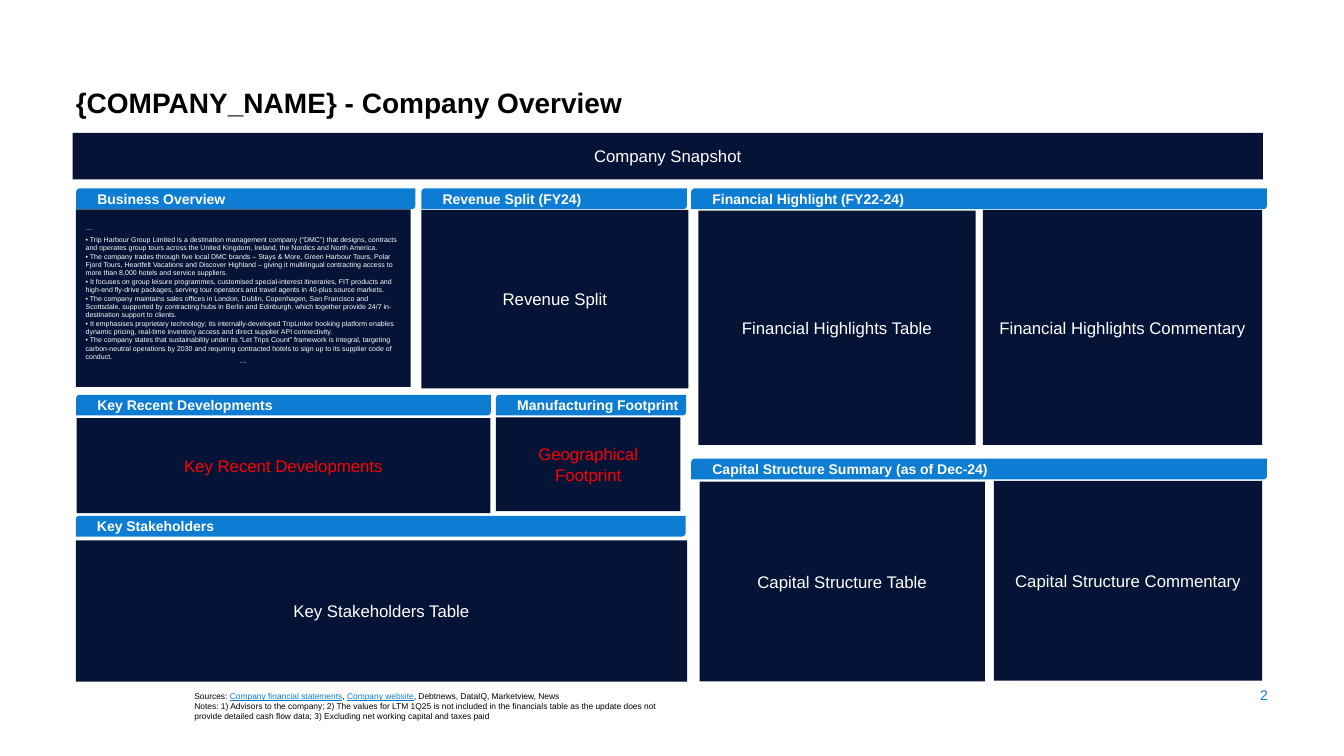
from pptx import Presentation
from pptx.dml.color import RGBColor
from pptx.enum import shapes, text
from pptx.util import Cm, Pt

COLORS = {"navy": "051336", "blue": "0D7DD3", "white": "FFFFFF", "red": "FF0000", "black": "000000"}
LEFT, CENTER, RIGHT = text.PP_ALIGN.LEFT, text.PP_ALIGN.CENTER, text.PP_ALIGN.RIGHT
TOP, MIDDLE = text.MSO_ANCHOR.TOP, text.MSO_ANCHOR.MIDDLE
HEADER_HEIGHT = 0.52

HEADERS = [
    ("Business Overview", 1.92, 4.75, 8.55),
    ("Revenue Split (FY24)", 10.62, 4.75, 6.69),
    ("Financial Highlight (FY22-24)", 17.42, 4.75, 14.51),
    ("Key Recent Developments", 1.92, 9.95, 10.45),
    ("Manufacturing Footprint", 12.5, 9.95, 4.79),
    ("Capital Structure Summary (as of Dec-24)", 17.42, 11.56, 14.51),
    ("Key Stakeholders", 1.91, 13, 15.37),
]

PANELS = [
    ("Company Snapshot", (1.83, 3.35, 30, 1.17), "white"),
    ("Revenue Split", (10.62, 5.29, 6.73, 4.5), "white"),
    ("Key Recent Developments", (1.93, 10.54, 10.43, 2.39), "red"),
    ("Geographical Footprint", (12.5, 10.52, 4.65, 2.36), "red"),
    ("Key Stakeholders Table", (1.91, 13.62, 15.41, 3.56), "white"),
    ("Financial Highlights Table", (17.6, 5.31, 6.99, 5.9), "white"),
    ("Financial Highlights Commentary", (24.77, 5.29, 7.04, 5.92), "white"),
    ("Capital Structure Table", (17.63, 12.14, 7.19, 5.03), "white"),
    ("Capital Structure Commentary", (25.05, 12.12, 6.76, 5.03), "white"),
]

BUSINESS_OVERVIEW = [
    "```",
    "• Trip Harbour Group Limited is a destination management company (“DMC”) that designs, contracts "
    "and operates group tours across the United Kingdom, Ireland, the Nordics and North America.",
    "• The company trades through five local DMC brands – Stays & More, Green Harbour Tours, Polar "
    "Fjord Tours, Heartfelt Vacations and Discover Highland – giving it multilingual contracting "
    "access to more than 8,000 hotels and service suppliers.",
    "• It focuses on group leisure programmes, customised special-interest itineraries, FIT products and "
    "high-end fly-drive packages, serving tour operators and travel agents in 40-plus source markets.",
    "• The company maintains sales offices in London, Dublin, Copenhagen, San Francisco and "
    "Scottsdale, supported by contracting hubs in Berlin and Edinburgh, which together provide 24/7 "
    "in-destination support to clients.",
    "• It emphasises proprietary technology; its internally-developed TripLinker booking platform "
    "enables dynamic pricing, real-time inventory access and direct supplier API connectivity.",
    "• The company states that sustainability under its “Let Trips Count” framework is integral, "
    "targeting carbon-neutral operations by 2030 and requiring contracted hotels to sign up to its "
    "supplier code of conduct.",
    "```",
]

SOURCES = [
    ("Sources: ", False),
    ("Company financial statements", True),
    (", ", False),
    ("Company website", True),
    (", Debtnews, DataIQ, Marketview, News", False),
]
NOTES = (
    "Notes: 1) Advisors to the company; 2) The values for LTM 1Q25 is not included in the financials table "
    "as the update does not provide detailed cash flow data; 3) Excluding net working capital and taxes paid"
)


def rgb(name):
    return RGBColor.from_string(COLORS[name])


def add_text(paragraph, content, *, size, color, bold=False, underline=False, align=LEFT):
    paragraph.alignment = align
    run = paragraph.add_run()
    run.text = content
    run.font.name = "Arial"
    run.font.size = Pt(size)
    run.font.bold = bold
    run.font.underline = underline
    run.font.color.rgb = rgb(color)


def set_frame(shape, anchor, left=0, right=0, vertical=0):
    frame = shape.text_frame
    frame.word_wrap = True
    frame.vertical_anchor = anchor
    frame.margin_left, frame.margin_right = Cm(left), Cm(right)
    frame.margin_top = frame.margin_bottom = Cm(vertical)
    return frame


def add_box(slide, kind, bounds, color):
    shape = slide.shapes.add_shape(kind, *map(Cm, bounds))
    shape.shadow.inherit = False
    shape.fill.solid()
    shape.fill.fore_color.rgb = rgb(color)
    shape.line.fill.background()
    return shape


def add_header(slide, title, left, top, width):
    shape = add_box(slide, shapes.MSO_SHAPE.ROUND_2_DIAG_RECTANGLE, (left, top, width, HEADER_HEIGHT), "blue")
    frame = set_frame(shape, MIDDLE, left=0.51)
    add_text(frame.paragraphs[0], title, size=10, color="white", bold=True)


def add_panel(slide, bounds):
    shape = add_box(slide, shapes.MSO_SHAPE.RECTANGLE, bounds, "navy")
    return set_frame(shape, MIDDLE, 0.25, 0.25, 0.25)


def add_label(slide, bounds, anchor=TOP):
    return set_frame(slide.shapes.add_textbox(*map(Cm, bounds)), anchor)


def add_business_overview(slide):
    frame = add_panel(slide, (1.91, 5.28, 8.44, 4.47))
    last = len(BUSINESS_OVERVIEW) - 1
    for index, line in enumerate(BUSINESS_OVERVIEW):
        paragraph = frame.add_paragraph() if index else frame.paragraphs[0]
        add_text(paragraph, line, size=5, color="white", align=CENTER if index == last else LEFT)


def add_footnotes(slide):
    frame = add_label(slide, (4.9, 17.42, 12.37, 0.77))
    for content, linked in SOURCES:
        add_text(frame.paragraphs[0], content, size=6, color="blue" if linked else "black", underline=linked)
    add_text(frame.add_paragraph(), NOTES, size=6, color="black")


def main():
    presentation = Presentation()
    presentation.slide_width, presentation.slide_height = Cm(33.87), Cm(19.05)
    slide = presentation.slides.add_slide(presentation.slide_layouts[6])

    title = add_label(slide, (1.91, 2.24, 17.4, 0.76)).paragraphs[0]
    title.line_spacing = 0.9
    add_text(title, "{COMPANY_NAME} - Company Overview", size=20, color="black", bold=True)

    for header in HEADERS:
        add_header(slide, *header)
    for label, bounds, color in PANELS:
        frame = add_panel(slide, bounds)
        add_text(frame.paragraphs[0], label, size=12, color=color, align=CENTER)
    add_business_overview(slide)
    add_footnotes(slide)

    number = add_label(slide, (30.86, 17.25, 1.09, 0.53), MIDDLE).paragraphs[0]
    add_text(number, "2", size=10, color="blue", align=RIGHT)
    presentation.save("out.pptx")


if __name__ == "__main__":
    main()
